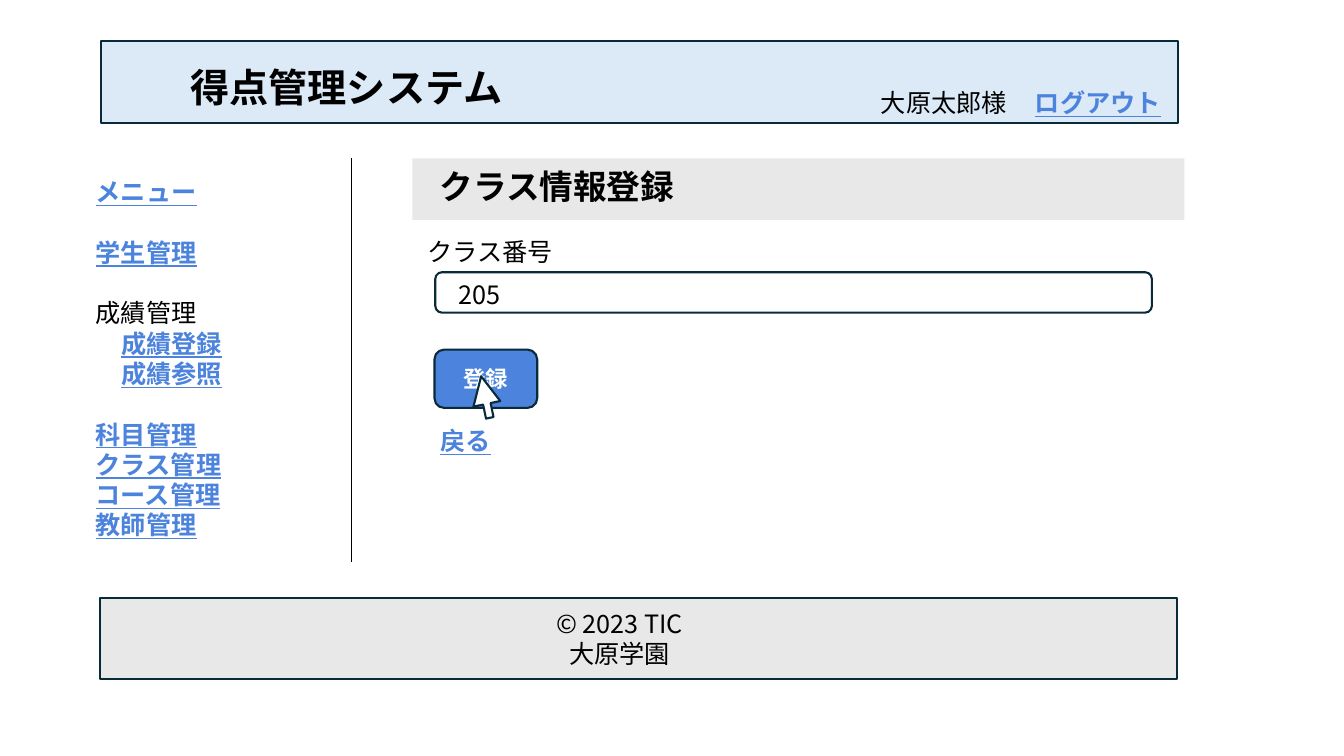
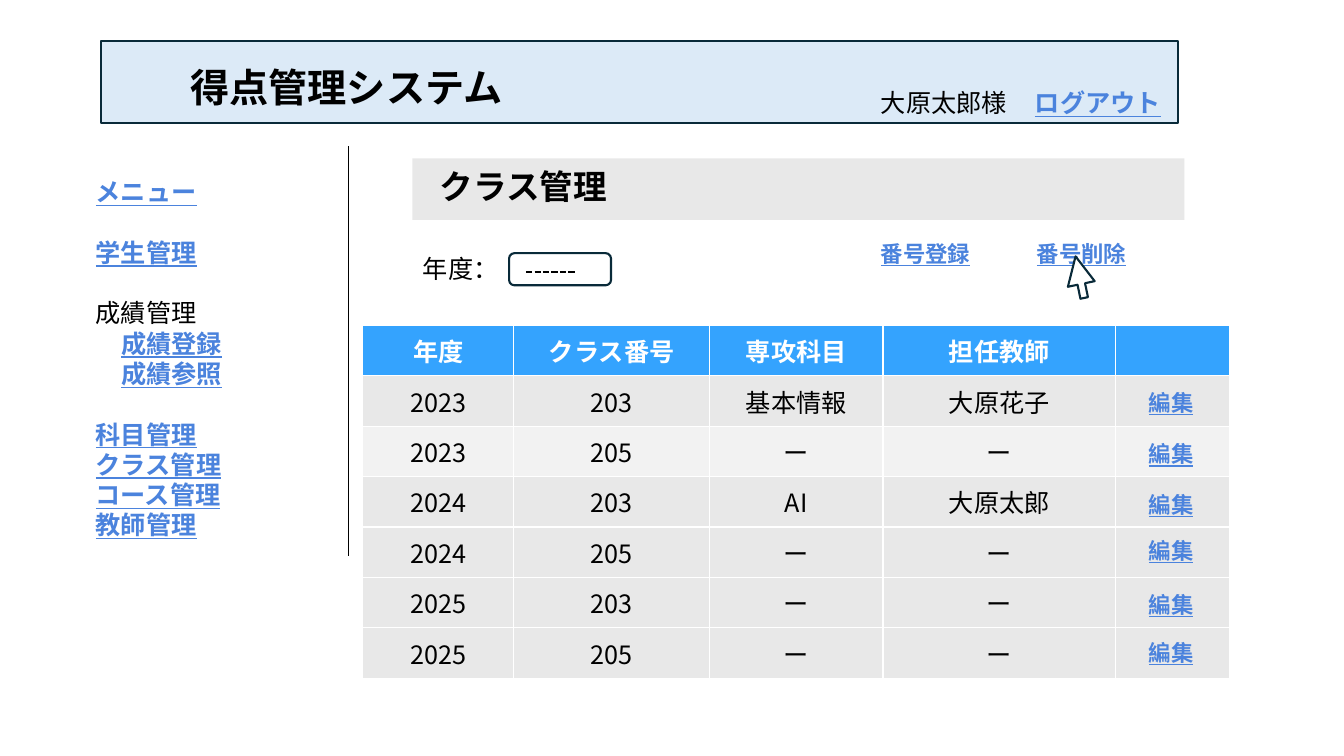
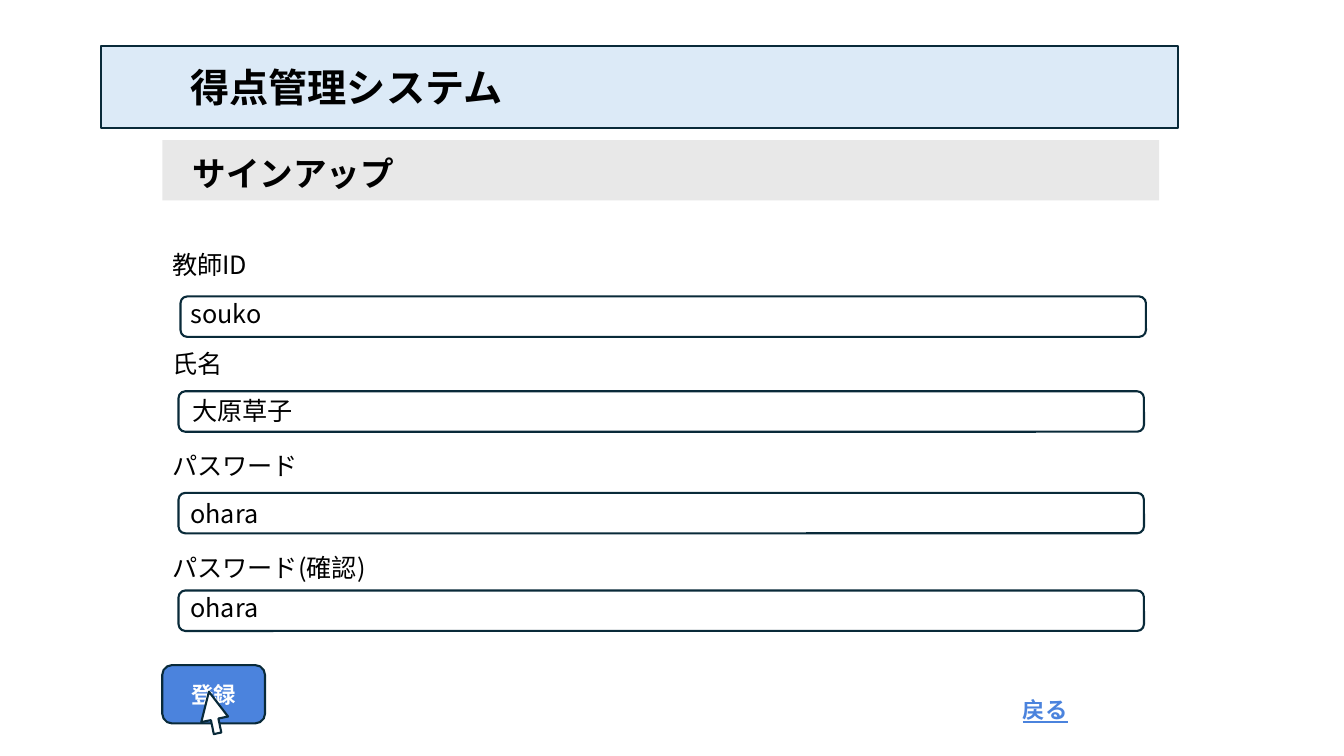
"""Build three screen mock-ups of a score management system."""
from lxml import etree
from pptx import Presentation
from pptx.dml.color import RGBColor
from pptx.enum import dml, shapes, text
from pptx.oxml.ns import qn
from pptx.util import Cm, Pt

FACE = "Noto Sans CJK JP"
INK = RGBColor(0, 0, 0)
WHITE = RGBColor(255, 255, 255)
LINK = RGBColor(0x4B, 0x83, 0xDD)
EDGE = RGBColor(0x09, 0x2A, 0x39)
PALE = RGBColor(0xDC, 0xEA, 0xF7)
GREY = RGBColor(0xE8, 0xE8, 0xE8)
LIGHT = RGBColor(0xF2, 0xF2, 0xF2)
HEAD = RGBColor(0x34, 0xA3, 0xFE)

SYSTEM = "得点管理システム"
USER = "大原太郎様"
OWNER = ["© 2023 TIC", "大原学園"]
MENU = [
    ["メニュー"],
    ["学生管理"],
    ["成績管理", "成績登録", "成績参照"],
    ["科目管理", "クラス管理", "コース管理", "教師管理"],
]
PLAIN = "成績管理"
NESTED = ("成績登録", "成績参照")

ROWS = [
    ("年度", "クラス番号", "専攻科目", "担任教師", ""),
    ("2023", "203", "基本情報", "大原花子", ""),
    ("2023", "205", "ー", "ー", ""),
    ("2024", "203", "AI", "大原太郎", ""),
    ("2024", "205", "ー", "ー", ""),
    ("2025", "203", "ー", "ー", ""),
    ("2025", "205", "ー", "ー", ""),
]
WIDTHS = [3.81, 4.93, 4.37, 5.87, 2.87]
FILLS = [HEAD, GREY, LIGHT, GREY, GREY, GREY, GREY]
EDITS = [9.68, 10.97, 12.24, 13.41, 14.76, 15.98]

FIELDS = [
    ("教師ID", 6.15, 4.55, 7.47, "souko", 0.2, 0.08),
    ("氏名", 8.66, 4.5, 9.86, "大原草子", 0.3, 0.03),
    ("パスワード", 11.23, 4.5, 12.42, "ohara", 0.25, 0),
    ("パスワード(確認)", 13.79, 4.5, 14.88, "ohara", 0.25, 0.08),
]


def write(para, words, size=18, color=INK, bold=False, under=False):
    run = para.add_run()
    run.text = words
    font = run.font
    font.size, font.bold, font.underline = Pt(size), bold, under
    font.color.rgb = color
    font.name = FACE
    east = etree.SubElement(run._r.get_or_add_rPr(), qn("a:ea"))
    east.set("typeface", FACE)


def inset(frame, left, top, right=0, bottom=0):
    frame.margin_left, frame.margin_top = Cm(left), Cm(top)
    frame.margin_right, frame.margin_bottom = Cm(right), Cm(bottom)


def place(shape, x, y, w, h):
    shape.left, shape.top, shape.width, shape.height = Cm(x), Cm(y), Cm(w), Cm(h)


def label(page, words, x, y, w=3.81, size=18, **look):
    box = page.shapes.add_textbox(Cm(x), Cm(y), Cm(w), Cm(size * 0.04 + 0.3))
    frame = box.text_frame
    frame.word_wrap = True
    write(frame.paragraphs[0], words, size, **look)
    return frame.paragraphs[0]


def link(page, words, x, y, w=3.81, size=18):
    return label(page, words, x, y, w, size, color=LINK, bold=True, under=True)


def block(page, kind, x, y, w, h, fill=None):
    shape = page.shapes.add_shape(kind, Cm(x), Cm(y), Cm(w), Cm(h))
    shape.shadow.inherit = False
    if fill is None:
        shape.fill.background()
    else:
        shape.fill.solid()
        shape.fill.fore_color.rgb = fill
    shape.line.color.rgb = EDGE
    shape.line.width = Pt(1.5)
    return shape


def rule(page, x1, y1, x2, y2, width=1):
    line = page.shapes.add_connector(
        shapes.MSO_CONNECTOR.STRAIGHT, Cm(x1), Cm(y1), Cm(x2), Cm(y2))
    line.line.color.rgb = INK
    line.line.width = Pt(width)
    etree.SubElement(line._element.spPr, qn("a:effectLst"))
    return line


def field(page, x, y, w, words, left, lift):
    shape = block(page, shapes.MSO_SHAPE.ROUNDED_RECTANGLE, x, y, w, 1.02)
    frame = shape.text_frame
    inset(frame, left, 0.1 - lift, 0, 0.1 + lift)
    frame.vertical_anchor = text.MSO_ANCHOR.MIDDLE
    frame.paragraphs[0].alignment = text.PP_ALIGN.LEFT
    write(frame.paragraphs[0], words)


def button(page, x, y):
    shape = block(page, shapes.MSO_SHAPE.ROUNDED_RECTANGLE, x, y, 2.59, 1.47, LINK)
    frame = shape.text_frame
    inset(frame, 0.66, 0)
    frame.vertical_anchor = text.MSO_ANCHOR.MIDDLE
    frame.paragraphs[0].alignment = text.PP_ALIGN.LEFT
    write(frame.paragraphs[0], "登録", 16, WHITE, True)


def cursor(page, x, y):
    arrow = block(page, shapes.MSO_SHAPE.UP_ARROW, x, y, 0.69, 1.07, WHITE)
    arrow.adjustments[0], arrow.adjustments[1] = 0.28, 1.03
    arrow.rotation = 348.2


def header(page, y):
    block(page, shapes.MSO_SHAPE.RECTANGLE, 2.54, y, 27.15, 2.06, PALE)
    label(page, SYSTEM, 4.55, 1.47, 23.14, 28, bold=True)


def heading(page, words, spot, left, top):
    shape = page.shapes.title
    place(shape, *spot)
    shape.fill.solid()
    shape.fill.fore_color.rgb = GREY
    frame = shape.text_frame
    frame.auto_size = text.MSO_AUTO_SIZE.NONE
    frame.vertical_anchor = text.MSO_ANCHOR.TOP
    inset(frame, left, top)
    frame.paragraphs[0].alignment = text.PP_ALIGN.LEFT
    write(frame.paragraphs[0], words, 24, bold=True)


def menu(page):
    shape = page.placeholders[1]
    place(shape, 2.16, 4.32, 6.15, 9.5)
    frame = shape.text_frame
    frame.auto_size = text.MSO_AUTO_SIZE.NONE
    para = None
    for group in MENU:
        for rank, words in enumerate(group):
            gap = 21.7 if para is not None and rank == 0 else 0
            para = frame.paragraphs[0] if para is None else frame.add_paragraph()
            props = para._p.get_or_add_pPr()
            props.set("marL", str(Cm(0.64 if words in NESTED else 0)))
            props.set("indent", "0")
            etree.SubElement(props, qn("a:buNone"))
            para.space_before = Pt(gap)
            if words == PLAIN:
                write(para, words)
            else:
                write(para, words, 18, LINK, True, True)


def member(deck, title):
    page = deck.slides.add_slide(deck.slide_layouts[1])
    heading(page, title, (10.39, 3.99, 19.46, 1.55), 0.69, 0.18)
    header(page, 1.04)
    label(page, USER, 21.95, 2.08)
    link(page, "ログアウト", 25.83, 2.08)
    menu(page)
    return page


def footer(page):
    band = block(page, shapes.MSO_SHAPE.RECTANGLE, 2.51, 15.06, 27.15, 2.06, GREY)
    frame = band.text_frame
    inset(frame, 0, 0, 0.94)
    frame.vertical_anchor = text.MSO_ANCHOR.MIDDLE
    for rank, words in enumerate(OWNER):
        para = frame.add_paragraph() if rank else frame.paragraphs[0]
        para.alignment = text.PP_ALIGN.CENTER
        write(para, words)


def grid(page):
    table = page.shapes.add_table(
        len(ROWS), len(WIDTHS), Cm(9.14), Cm(8.2),
        Cm(sum(WIDTHS)), Cm(1.27 * len(ROWS))).table
    for col, width in zip(table.columns, WIDTHS):
        col.width = Cm(width)
    for rank, (row, fill) in enumerate(zip(ROWS, FILLS)):
        for cell, words in zip(table.rows[rank].cells, row):
            cell.fill.solid()
            cell.fill.fore_color.rgb = fill
            cell.vertical_anchor = text.MSO_ANCHOR.MIDDLE
            para = cell.text_frame.paragraphs[0]
            para.alignment = text.PP_ALIGN.CENTER
            if words:
                write(para, words, 18, INK if rank else WHITE, rank == 0)


def entry(deck):
    page = member(deck, "クラス情報登録")
    rule(page, 8.86, 3.99, 8.86, 14.17)
    label(page, "クラス番号", 10.52, 5.84, 4.55)
    field(page, 10.97, 6.86, 18.06, "205", 0.53, -0.05)
    button(page, 10.95, 8.81)
    link(page, "戻る", 10.85, 10.59)
    footer(page)
    cursor(page, 11.89, 9.47)


def listing(deck):
    page = member(deck, "クラス管理")
    rule(page, 8.79, 3.68, 8.79, 14)
    link(page, "番号登録", 21.95, 5.92, size=16)
    link(page, "番号削除", 25.88, 5.92, size=16)
    label(page, "年度：", 10.41, 6.27, 3.18)
    block(page, shapes.MSO_SHAPE.ROUNDED_RECTANGLE, 12.83, 6.38, 2.57, 0.81, WHITE)
    dash = rule(page, 13.26, 6.86, 14.53, 6.86, 1.5)
    dash.line.dash_style = dml.MSO_LINE.SQUARE_DOT
    grid(page)
    for y in EDITS:
        link(page, "編集", 28.6, y, 1.83, 16).alignment = text.PP_ALIGN.CENTER
    cursor(page, 26.87, 6.45)


def signup(deck):
    page = deck.slides.add_slide(deck.slide_layouts[5])
    heading(page, "サインアップ", (4.09, 3.53, 25.12, 1.52), 0.76, 0.33)
    header(page, 1.17)
    for name, top, x, y, words, left, lift in FIELDS:
        label(page, name, 4.09, top, 24.03)
        field(page, x, y, 24.33, words, left, lift)
    button(page, 4.09, 16.76)
    link(page, "戻る", 25.53, 17.42, size=16)
    cursor(page, 5.03, 17.42)


def main():
    deck = Presentation()
    deck.slide_width, deck.slide_height = Cm(33.87), Cm(19.05)
    for build in (entry, listing, signup):
        build(deck)
    deck.save("out.pptx")


if __name__ == "__main__":
    main()
